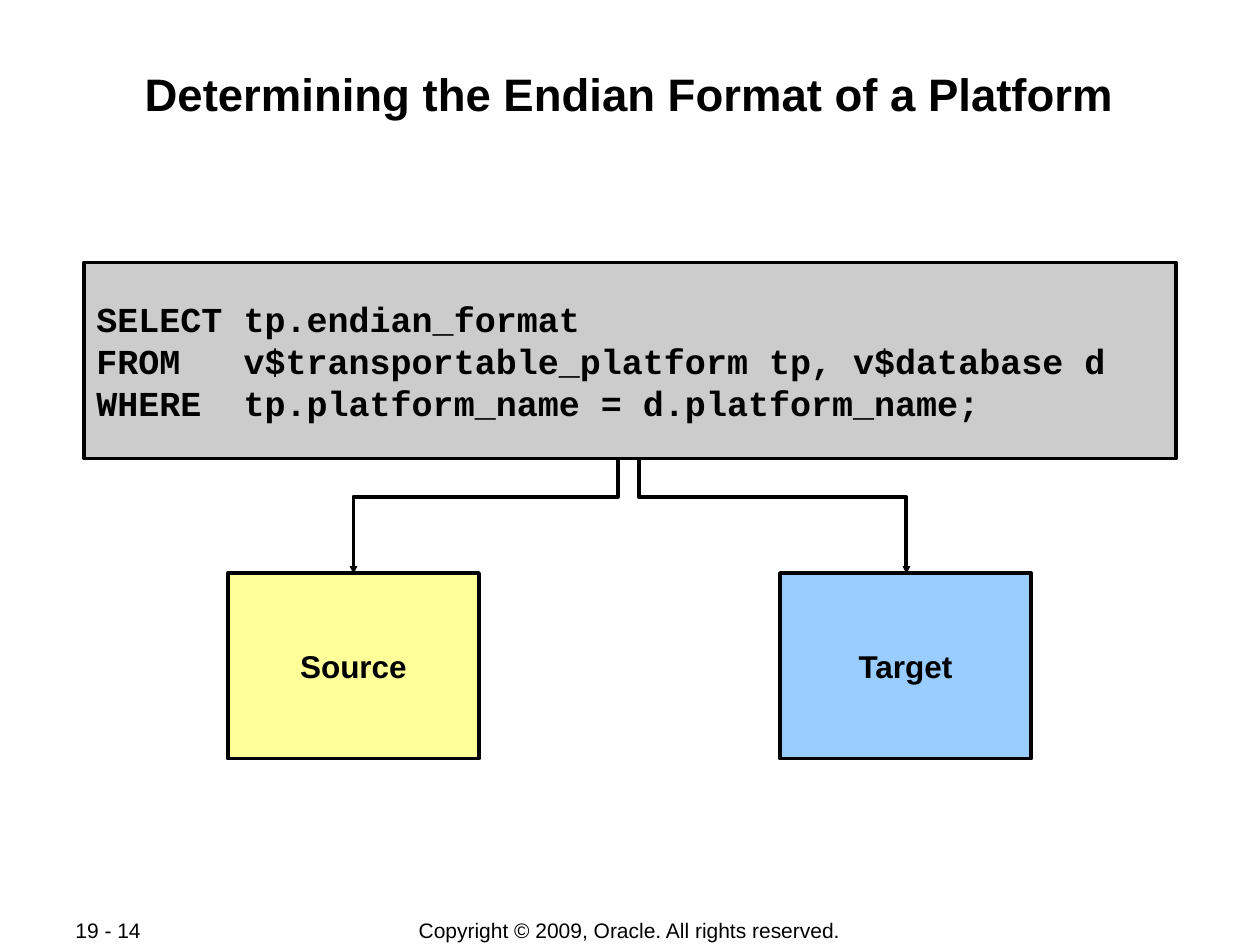
import pptx
import pptx.dml.color
import pptx.enum.shapes
import pptx.enum.text
import pptx.oxml
import pptx.oxml.ns
import pptx.util

Pt = pptx.util.Pt
Color = pptx.dml.color.RGBColor
Align = pptx.enum.text.PP_ALIGN
Anchor = pptx.enum.text.MSO_ANCHOR
Shape = pptx.enum.shapes.MSO_SHAPE

BLACK = Color(0, 0, 0)
GREY = Color(0xCC, 0xCC, 0xCC)
YELLOW = Color(0xFF, 0xFF, 0x99)
BLUE = Color(0x99, 0xCC, 0xFF)
ARROW = (
    '<a:tailEnd xmlns:a="http://schemas.openxmlformats.org/drawingml/2006/main" '
    'type="triangle" w="sm" len="sm"/>'
)


class Page:
    font = "Arial"
    mono = "Courier New"
    stroke = 2.25

    def __init__(self, slide):
        self.slide = slide

    def letter(self, shape, lines, size, bold=True, font=None,
               align=Align.CENTER, anchor=Anchor.MIDDLE, inset=(7.2, 3.6)):
        frame = shape.text_frame
        frame.word_wrap = True
        frame.vertical_anchor = anchor
        frame.margin_left = frame.margin_right = Pt(inset[0])
        frame.margin_top = frame.margin_bottom = Pt(inset[1])
        for i, line in enumerate(lines):
            para = frame.paragraphs[0] if i == 0 else frame.add_paragraph()
            para.alignment = align
            run = para.add_run()
            run.text = line
            run.font.name = font or self.font
            run.font.size = Pt(size)
            run.font.bold = bold
            run.font.color.rgb = BLACK

    def label(self, box, text, size, **style):
        shape = self.slide.shapes.add_textbox(*map(Pt, box))
        self.letter(shape, [text], size, **style)

    def trace(self, shape):
        shape.shadow.inherit = False
        shape.line.color.rgb = BLACK
        shape.line.width = Pt(self.stroke)

    def block(self, box, fill, lines, size, **style):
        shape = self.slide.shapes.add_shape(Shape.RECTANGLE, *map(Pt, box))
        shape.fill.solid()
        shape.fill.fore_color.rgb = fill
        self.trace(shape)
        self.letter(shape, lines, size, **style)

    def elbow(self, start, turn, end):
        (x1, y1), (x2, y2) = start, end
        pen = self.slide.shapes.build_freeform(x1, y1, scale=Pt(1))
        pen.add_line_segments([(x1, turn), (x2, turn), (x2, y2)], close=False)
        shape = pen.convert_to_shape()
        shape.fill.background()
        self.trace(shape)
        line = shape.element.spPr.find(pptx.oxml.ns.qn("a:ln"))
        line.append(pptx.oxml.parse_xml(ARROW))


def main():
    deck = pptx.Presentation()
    deck.slide_width, deck.slide_height = Pt(720), Pt(540)
    page = Page(deck.slides.add_slide(deck.slide_layouts[6]))

    page.label((198, 524, 323.5, 15), "Copyright © 2009, Oracle. All rights reserved.",
               12, bold=False)
    page.label((36, 524, 76.5, 15), "19 - 14", 12, bold=False, align=Align.LEFT)
    page.label((48, 34.5, 623.5, 69), "Determining the Endian Format of a Platform",
               26, anchor=Anchor.TOP, inset=(0.7, 3.5))

    query = [
        "SELECT tp.endian_format",
        "FROM   v$transportable_platform tp, v$database d",
        "WHERE  tp.platform_name = d.platform_name;",
    ]
    page.block((48, 150, 624, 112), GREY, query, 20, font=page.mono,
               align=Align.LEFT, inset=(7.2, 0.7))

    width, top = 143.5, 327.5
    sides = [("Source", YELLOW, 130.25, 353), ("Target", BLUE, 445.75, 365)]
    for name, fill, left, start in sides:
        page.block((left, top, width, 106), fill, [name], 18)
        page.elbow((start, 262), 284.5, (left + width / 2, top))

    deck.save("out.pptx")


if __name__ == "__main__":
    main()
